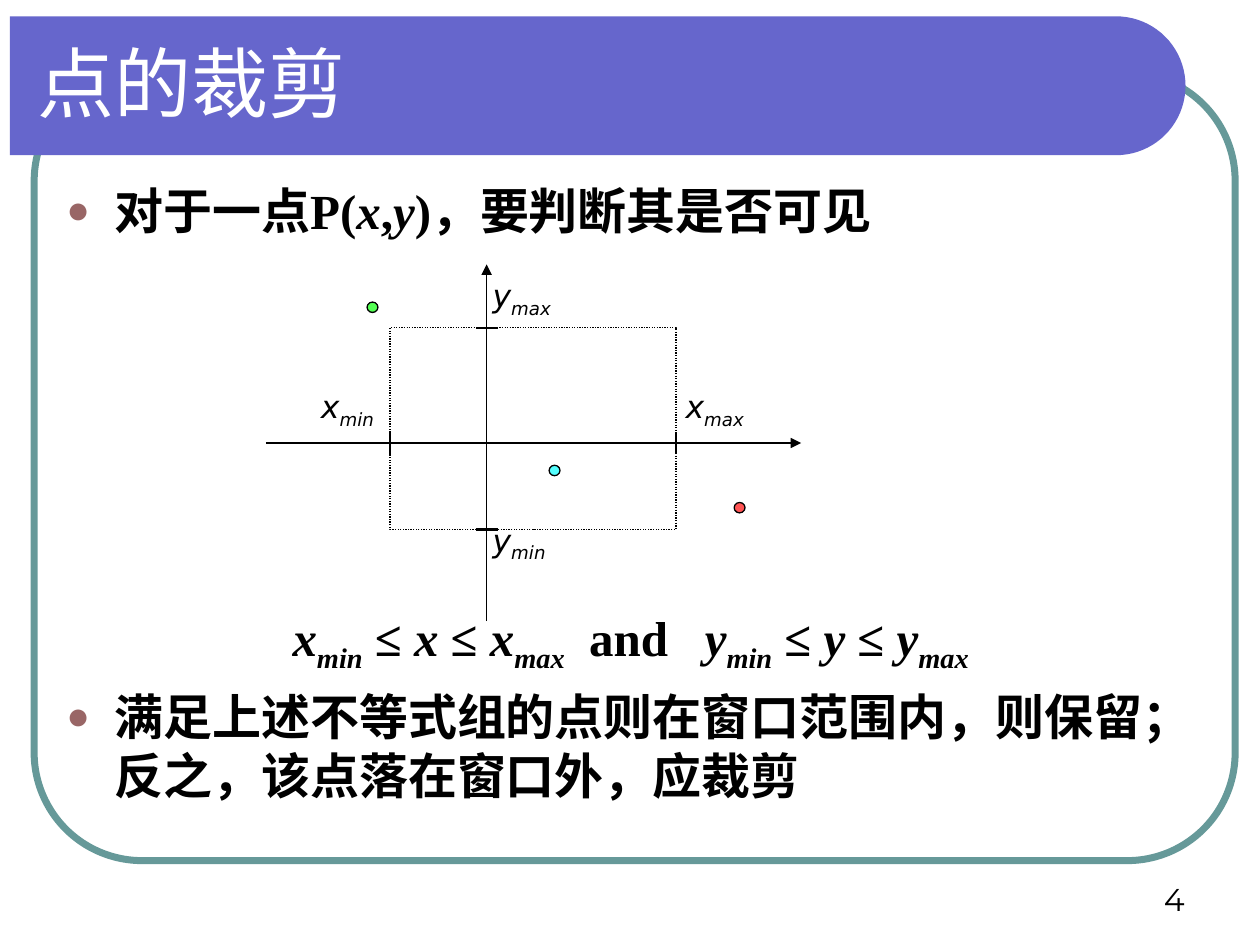
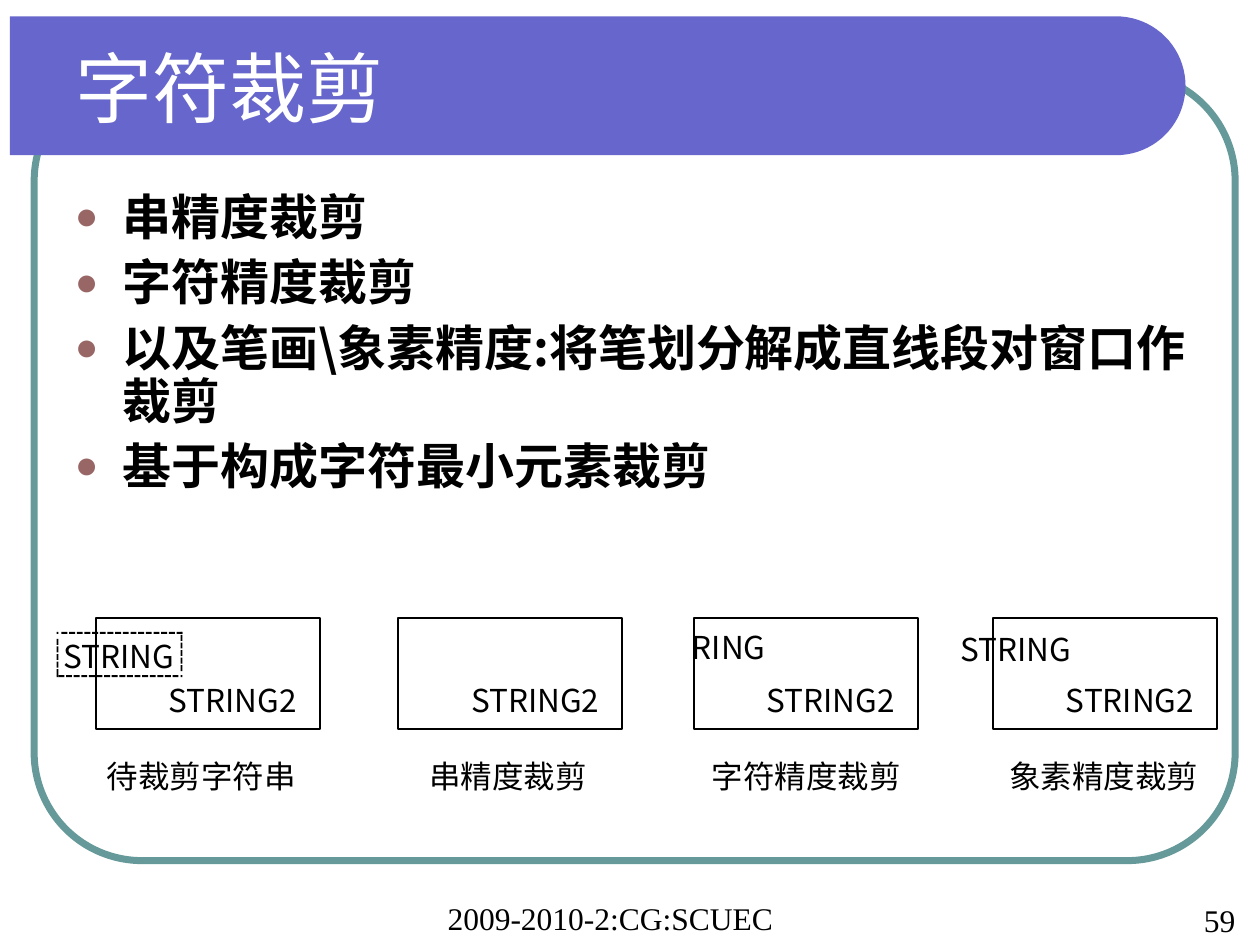
from dataclasses import dataclass
from math import cos, pi, sin

from lxml.etree import SubElement
from pptx import Presentation
from pptx.dml.color import RGBColor
from pptx.enum.dml import MSO_LINE_DASH_STYLE as Dash
from pptx.enum.shapes import MSO_CONNECTOR, MSO_SHAPE as Shape
from pptx.enum.text import MSO_ANCHOR as Anchor, PP_ALIGN as Align
from pptx.oxml.ns import qn
from pptx.util import Cm, Pt


@dataclass(frozen=True)
class Theme:
    frame: str = "669999"
    band: str = "6666CC"
    bullet: str = "996666"
    ink: str = "000000"
    paper: str = "FFFFFF"
    inside: str = "00FFFF"
    outside_left: str = "00FF00"
    outside_right: str = "FF0000"
    title_size: int = 44
    body_size: int = 28
    small_size: int = 18
    sans: str = "Arial"
    serif: str = "Times New Roman"
    number: str = "Montserrat"
    math: str = "DejaVu Sans"
    chinese: str = "Noto Sans CJK SC"
    line_height: float = 1.2


THEME = Theme()


@dataclass
class Piece:
    """One stretch of text; gap is extra letter spacing in points."""
    text: str
    italic: bool = False
    sub: bool = False
    gap: int = 0


def rgb(code):
    return RGBColor.from_string(code)


def lengths(*values):
    return [Cm(value) for value in values]


# ---------- text ----------

def format_run(run, font, size, color=THEME.ink, bold=False):
    run.font.name = font
    run.font.size = Pt(size)
    run.font.bold = bold
    run.font.color.rgb = rgb(color)
    east_asian = SubElement(run.font._element, qn("a:ea"))
    east_asian.set("typeface", THEME.chinese)


def write(paragraph, content, font, size, **look):
    """Fill a paragraph from a string or from a list of pieces."""
    pieces = [Piece(content)] if isinstance(content, str) else content
    for piece in pieces:
        run = paragraph.add_run()
        run.text = piece.text
        run.font.italic = piece.italic
        properties = run.font._element
        if piece.sub:
            properties.set("baseline", "-25000")
        if piece.gap:
            properties.set("spc", str(piece.gap * 100))
        format_run(run, font, size, **look)


def text_frame(slide, box, anchor=Anchor.TOP, wrap=True, inset=True):
    frame = slide.shapes.add_textbox(*lengths(*box)).text_frame
    frame.word_wrap = wrap
    frame.vertical_anchor = anchor
    if not inset:
        frame.margin_left = frame.margin_right = 0
        frame.margin_top = frame.margin_bottom = 0
    return frame


def label(slide, box, content, font, align=Align.LEFT, tight=False, **layout):
    """Small one-line text; tight gives it the exact line height."""
    paragraph = text_frame(slide, box, **layout).paragraphs[0]
    paragraph.alignment = align
    if tight:
        paragraph.line_spacing = Pt(THEME.small_size * THEME.line_height)
    write(paragraph, content, font, THEME.small_size)


def hang(paragraph, bulleted=True):
    """Hanging indent, with the round bullet if wanted."""
    properties = paragraph._p.get_or_add_pPr()
    properties.set("marL", str(Cm(0.97)))
    properties.set("indent", str(-Cm(0.97)))
    if not bulleted:
        SubElement(properties, qn("a:buNone"))
        return
    color = SubElement(properties, qn("a:buClr"))
    SubElement(color, qn("a:srgbClr")).set("val", THEME.bullet)
    SubElement(properties, qn("a:buSzPct")).set("val", "80000")
    SubElement(properties, qn("a:buFont")).set("typeface", THEME.sans)
    SubElement(properties, qn("a:buChar")).set("char", "●")


def body_paragraph(frame, content, font, before=7, spacing=1.0, bulleted=True):
    first = not frame.paragraphs[0].runs
    paragraph = frame.paragraphs[0] if first else frame.add_paragraph()
    hang(paragraph, bulleted)
    paragraph.line_spacing = Pt(THEME.body_size * THEME.line_height * spacing)
    paragraph.space_before = Pt(0 if first else before)
    write(paragraph, content, font, THEME.body_size, bold=True)
    return paragraph


def variable(name, bound):
    return [Piece(name, italic=True), Piece(bound, italic=True, sub=True)]


def range_condition(name):
    return [*variable(name, "min"), Piece(" ≤ "), Piece(name, italic=True),
            Piece(" ≤ "), *variable(name, "max")]


# ---------- shapes ----------

def shape(slide, kind, box, fill=None, line=None, width=0.75, dash=None):
    drawn = slide.shapes.add_shape(kind, *lengths(*box))
    paint(drawn, fill, line, width)
    if dash:
        drawn.line.dash_style = dash
    return drawn


def paint(drawn, fill, line=None, width=0.75):
    drawn.shadow.inherit = False
    if fill:
        drawn.fill.solid()
        drawn.fill.fore_color.rgb = rgb(fill)
    else:
        drawn.fill.background()
    if line:
        drawn.line.color.rgb = rgb(line)
        drawn.line.width = Pt(width)
    else:
        drawn.line.fill.background()


def segment(slide, start, end, width, color=THEME.ink, arrow=False):
    connector = slide.shapes.add_connector(
        MSO_CONNECTOR.STRAIGHT, *lengths(*start, *end))
    connector.line.color.rgb = rgb(color)
    connector.line.width = Pt(width)
    if arrow:
        SubElement(connector.line._get_or_add_ln(),
                   qn("a:tailEnd")).set("type", "triangle")
    SubElement(connector._element.spPr, qn("a:effectLst"))


def sample_point(slide, left, top, color):
    dot = shape(slide, Shape.OVAL, (left, top, 0.22, 0.21), color, THEME.ink)
    fill_color = dot.fill._xPr.find(qn("a:solidFill"))[0]
    SubElement(fill_color, qn("a:alpha")).set("val", "67000")


# ---------- shared slide parts ----------

def title_band(slide):
    """Flat on the left, half round on the right."""
    left, top, right, radius, steps = 0.2, 0.33, 23.9, 1.4, 40
    angles = [pi * step / steps - pi / 2 for step in range(steps + 1)]
    arc = [(right - radius + radius * cos(a), top + radius + radius * sin(a))
           for a in angles]
    outline = slide.shapes.build_freeform(Cm(left), Cm(top))
    outline.add_line_segments(
        [lengths(*point) for point in [*arc, (left, top + 2 * radius)]])
    paint(outline.convert_to_shape(), THEME.band)


def start_slide(deck, title, title_box):
    slide = deck.slides.add_slide(deck.slide_layouts[6])
    frame = shape(slide, Shape.ROUNDED_RECTANGLE, (0.69, 1.47, 24.21, 15.88),
                  line=THEME.frame, width=4)
    frame.adjustments[0] = 0.137
    title_band(slide)
    segment(slide, (0.86, 3.38), (23.29, 3.38), 3, THEME.paper)
    heading = text_frame(slide, title_box, Anchor.MIDDLE).paragraphs[0]
    write(heading, title, THEME.sans, THEME.title_size, color=THEME.paper)
    return slide


# ---------- slide content ----------

def clip_window_diagram(slide):
    left, top, right, bottom = 7.86, 6.61, 13.63, 10.67
    origin_x, origin_y, tick = 9.81, 8.93, 0.22
    segment(slide, (5.36, origin_y), (16.15, origin_y), 0.75, arrow=True)
    segment(slide, (origin_x, 12.52), (origin_x, 5.33), 0.75, arrow=True)
    shape(slide, Shape.RECTANGLE, (left, top, right - left, bottom - top),
          line=THEME.ink, dash=Dash.ROUND_DOT)
    sample_point(slide, 11.07, 9.38, THEME.inside)
    sample_point(slide, 7.4, 6.09, THEME.outside_left)
    sample_point(slide, 14.8, 10.13, THEME.outside_right)
    for x in (left, right):
        segment(slide, (x, origin_y - tick), (x, origin_y + tick), 1.5)
    for y in (top, bottom):
        segment(slide, (origin_x - tick, y), (origin_x + tick, y), 1.5)
    for name, bound, x, y in (("x", "min", 6.22, 7.67), ("x", "max", 13.57, 7.67),
                              ("y", "min", 9.68, 10.37), ("y", "max", 9.68, 5.44)):
        label(slide, (x, y, 2.57, 1.12), variable(name, bound), THEME.math)


def point_clipping(deck):
    slide = start_slide(deck, "点的裁剪", (0.51, 0.32, 23.32, 2.67))
    body = text_frame(slide, (1.09, 3.52, 23.39, 13.6))
    question = [Piece("对于一点P("), Piece("x", italic=True), Piece(","),
                Piece("y", italic=True), Piece(")，要判断其是否可见")]
    condition = [*range_condition("x"), Piece(" ", gap=7), Piece("and"),
                 Piece(" ", gap=14), *range_condition("y"),
                 Piece(" ", italic=True, sub=True)]
    body_paragraph(body, question, THEME.serif)
    formula = body_paragraph(body, condition, THEME.serif, before=215,
                             bulleted=False)
    formula.alignment = Align.CENTER
    body_paragraph(
        body, "满足上述不等式组的点则在窗口范围内，则保留；反之，该点落在窗口外，应裁剪",
        THEME.serif)
    label(slide, (18.21, 17.35, 5.92, 1.27), "4", THEME.number, Align.RIGHT,
          anchor=Anchor.BOTTOM)
    clip_window_diagram(slide)


def clipped_string(slide, left, top, text):
    label(slide, (left, top, 2.62, 0.76), text, THEME.chinese,
          tight=True, wrap=False, inset=False)


def clipping_panel(slide, left, caption, caption_shift=0.0, string=None):
    """Window with STRING2 inside; string is (text, x offset, y offset)."""
    top, width, height = 12.45, 4.52, 2.25
    shape(slide, Shape.RECTANGLE, (left, top, width, height),
          THEME.paper, THEME.ink, 1.13)
    if string:
        text, dx, dy = string
        clipped_string(slide, left + dx, top + dy, text)
    clipped_string(slide, left + 1.47, top + 1.28, "STRING2")
    label(slide, (left + caption_shift, 15.13, width, 1.02), caption,
          THEME.sans, Align.CENTER, tight=True)


def evenly(first, last, count):
    return [first + (last - first) * i / (count - 1) for i in range(count)]


def string_extent(slide):
    """Dashed box around the string, made of small bars."""
    left, top, right, bottom = 1.14, 12.74, 3.64, 13.61
    thick, dash = 0.04, 0.12
    bars = [(x, y, thick, thick) for x in (left, right) for y in (top, bottom)]
    bars += [(x, top, dash, thick) for x in evenly(1.24, 3.56, 16)]
    bars += [(x, bottom, dash, thick) for x in evenly(1.18, 3.48, 16)]
    bars += [(left, y, thick, dash) for y in evenly(12.88, 13.49, 5)]
    bars += [(right, y, thick, dash) for y in evenly(12.8, 13.41, 5)]
    for bar in bars:
        shape(slide, Shape.RECTANGLE, bar, THEME.ink)


def character_clipping(deck):
    slide = start_slide(deck, "字符裁剪", (1.27, 0.56, 22.86, 2.36))
    body = text_frame(slide, (1.26, 3.76, 23.24, 8.28))
    for point in ("串精度裁剪", "字符精度裁剪",
                  "以及笔画\\象素精度:将笔划分解成直线段对窗口作裁剪",
                  "基于构成字符最小元素裁剪"):
        body_paragraph(body, point, THEME.chinese, spacing=0.9)
    label(slide, (23.77, 18.03, 1.63, 1.02), "59", THEME.serif, Align.CENTER,
          anchor=Anchor.BOTTOM)
    label(slide, (7.9, 18, 8.81, 1.35), "2009-2010-2:CG:SCUEC",
          THEME.serif, Align.CENTER)
    clipping_panel(slide, 1.93, "待裁剪字符串", -0.13, ("STRING", -0.65, 0.39))
    string_extent(slide)
    clipping_panel(slide, 8.03, "串精度裁剪", -0.05)
    clipping_panel(slide, 13.99, "字符精度裁剪", string=("RING", -0.04, 0.22))
    clipping_panel(slide, 20.02, "象素精度裁剪", -0.03, ("STRING", -0.66, 0.25))


def main():
    deck = Presentation()
    deck.slide_width, deck.slide_height = Cm(25.4), Cm(19.05)
    point_clipping(deck)
    character_clipping(deck)
    deck.save("out.pptx")


if __name__ == "__main__":
    main()
